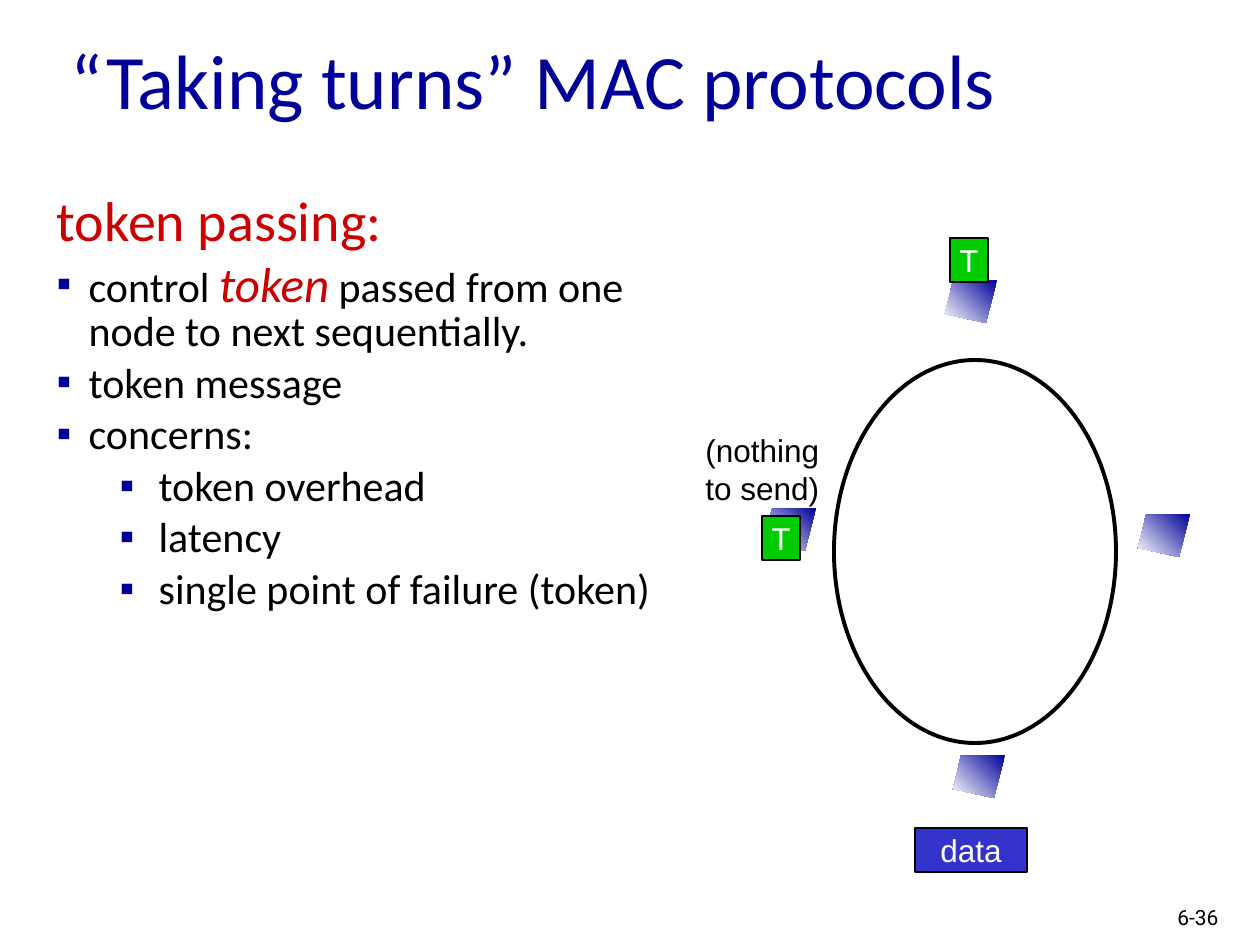
from dataclasses import dataclass

from lxml import etree
from pptx import Presentation
from pptx import util as u
from pptx.dml.color import RGBColor as Rgb
from pptx.enum import shapes, text
from pptx.oxml.ns import qn

SCALE = 914400 / 126


@dataclass(frozen=True)
class Theme:
    navy: str = "000099"
    red: str = "CC0000"
    green: str = "00CC00"
    blue: str = "3333CC"
    black: str = "000000"
    white: str = "FFFFFF"
    sans: str = "Calibri"
    label: str = "Arial"
    foot: str = "Roboto"
    title: int = 44
    head: int = 32
    term: int = 28
    body: int = 24
    tag: int = 18
    page: int = 12


T = Theme()
TAG = dict(name=T.label, size=T.tag, tint=T.white)
NOTE = dict(TAG, tint=T.black)
PAGE = dict(name=T.foot, size=T.page, tint=T.black)
TITLE = dict(name=T.sans, size=T.title, tint=T.navy)
HEAD = dict(name=T.sans, size=T.head, tint=T.red)
BODY = dict(name=T.sans, size=T.body, tint=T.black)
TERM = dict(name=T.sans, size=T.term, tint=T.red, italic=True)

ITEMS = [
    (0, [("control ", BODY), ("token", TERM),
         (" passed from one node to next sequentially.", BODY)]),
    (0, [("token message", BODY)]),
    (0, [("concerns:", BODY)]),
    (1, [("token overhead", BODY)]),
    (1, [("latency", BODY)]),
    (1, [("single point of failure (token)", BODY)]),
]
INDENT = [(32, -32), (102, -39)]
NODES = [(1138, 514), (764, 508), (945, 280), (953, 755)]
SIDES = [(52, 0), (8, 1), (0, 34), (41, 43)]


def px(num):
    return u.Emu(round(num * SCALE))


def apply(obj, vals):
    for key, val in vals.items():
        setattr(obj, key, val)


def place(shape, *box):
    apply(shape, dict(zip(("left", "top", "width", "height"), map(px, box))))


def add_run(para, words, fmt):
    run = para.add_run()
    run.text = words
    vals = dict(fmt, size=u.Pt(fmt["size"]))
    run.font.color.rgb = Rgb.from_string(vals.pop("tint"))
    apply(run.font, vals)


def outline(shape, width):
    shape.shadow.inherit = False
    shape.line.color.rgb = Rgb.from_string(T.black)
    shape.line.width = u.Pt(width)


def bullet(para, level):
    props = para._p.get_or_add_pPr()
    left, hang = INDENT[level]
    props.set("marL", str(px(left)))
    props.set("indent", str(px(hang)))
    tint = etree.SubElement(props, qn("a:buClr"))
    etree.SubElement(tint, qn("a:srgbClr"), val=T.navy)
    etree.SubElement(props, qn("a:buFont"), typeface=T.label)
    etree.SubElement(props, qn("a:buChar"), char="▪")


def add_title(slide):
    shape = slide.shapes.title
    place(shape, 58, 26, 1071, 106)
    frame = shape.text_frame
    apply(frame, dict(vertical_anchor=text.MSO_ANCHOR.MIDDLE,
                      auto_size=text.MSO_AUTO_SIZE.NONE))
    para = frame.paragraphs[0]
    para.alignment = text.PP_ALIGN.LEFT
    add_run(para, "“Taking turns” MAC protocols", TITLE)


def add_list(slide):
    shape = slide.placeholders[1]
    place(shape, 44, 190, 633, 640)
    frame = shape.text_frame
    frame.auto_size = text.MSO_AUTO_SIZE.NONE
    head = frame.paragraphs[0]
    props = head._p.get_or_add_pPr()
    props.set("marL", "0")
    props.set("indent", "0")
    etree.SubElement(props, qn("a:buNone"))
    apply(head, dict(line_spacing=0.85, space_before=u.Pt(0)))
    add_run(head, "token passing:", HEAD)
    for level, runs in ITEMS:
        para = frame.add_paragraph()
        bullet(para, level)
        apply(para, dict(level=level, line_spacing=0.85,
                         space_before=u.Pt(5)))
        for words, fmt in runs:
            add_run(para, words, fmt)


def add_node(slide, left, top):
    dots = [(left + x, top + y) for x, y in SIDES]
    pen = slide.shapes.build_freeform(*dots[0], scale=SCALE)
    pen.add_line_segments(dots[1:], close=True)
    shape = pen.convert_to_shape()
    shape.shadow.inherit = False
    shape.line.fill.background()
    shape.fill.gradient()
    shape.fill.gradient_angle = 225
    for stop, tint, pos in zip(shape.fill.gradient_stops,
                               (T.navy, T.white), (0, 1)):
        stop.color.rgb = Rgb.from_string(tint)
        stop.position = pos


def add_ring(slide, *box):
    ring = slide.shapes.add_shape(shapes.MSO_SHAPE.OVAL, *map(px, box))
    ring.fill.background()
    outline(ring, 2.25)


def add_tag(slide, words, tint, *box):
    shape = slide.shapes.add_shape(shapes.MSO_SHAPE.RECTANGLE, *map(px, box))
    shape.fill.solid()
    shape.fill.fore_color.rgb = Rgb.from_string(tint)
    outline(shape, 0.75)
    frame = shape.text_frame
    apply(frame, dict(word_wrap=False,
                      vertical_anchor=text.MSO_ANCHOR.MIDDLE))
    para = frame.paragraphs[0]
    para.alignment = text.PP_ALIGN.CENTER
    add_run(para, words, TAG)


def add_note(slide, lines, fmt, *box):
    frame = slide.shapes.add_textbox(*map(px, box)).text_frame
    frame.word_wrap = False
    for num, words in enumerate(lines):
        para = frame.add_paragraph() if num else frame.paragraphs[0]
        add_run(para, words, fmt)


def main():
    deck = Presentation()
    apply(deck, dict(slide_width=px(1260), slide_height=px(945)))
    slide = deck.slides.add_slide(deck.slide_layouts[1])
    add_title(slide)
    add_list(slide)
    for spot in NODES:
        add_node(slide, *spot)
    add_ring(slide, 834, 360, 282, 383)
    add_tag(slide, "T", T.green, 950, 238, 38, 44)
    add_tag(slide, "data", T.blue, 915, 828, 112, 44)
    add_note(slide, ["(nothing", "to send)"], NOTE, 693, 425, 139, 88)
    add_tag(slide, "T", T.green, 762, 516, 38, 44)
    add_note(slide, ["6-36"], PAGE, 1165, 898, 76, 38)
    deck.save("out.pptx")


if __name__ == "__main__":
    main()
